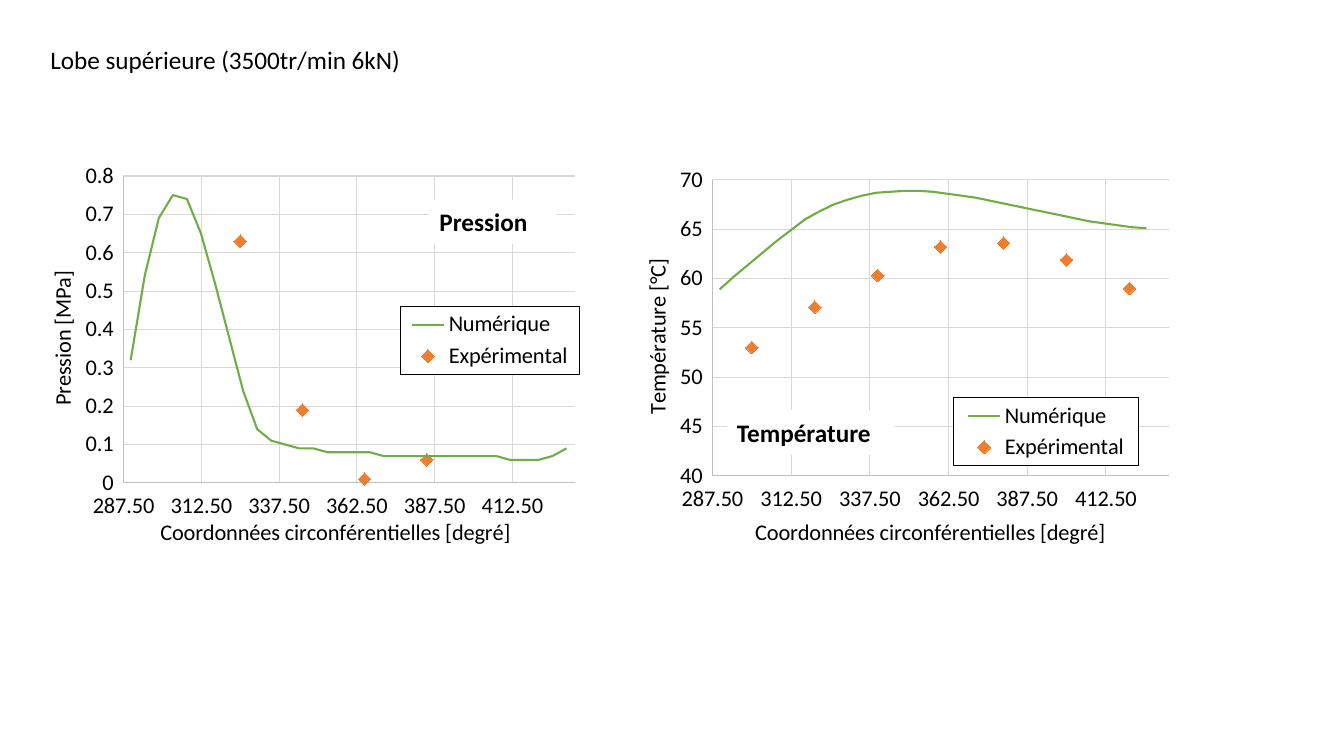
from dataclasses import dataclass

from lxml import etree
from pptx import Presentation
from pptx import util as u
from pptx.chart.data import XyChartData
from pptx.dml.color import RGBColor
from pptx.enum import chart as ch, shapes, text
from pptx.oxml import parse_xml
from pptx.oxml.ns import nsdecls, qn

FONT = "Calibri"
COLORS = {
    "black": "000000", "white": "FFFFFF", "axis": "BFBFBF", "grid": "D9D9D9",
    "numerical": "70AD47", "experimental": "ED7D31",
}
X_START, X_STEP = 289.8, 4.52


@dataclass
class Panel:
    left: float
    y_title: str
    y_range: tuple[float, float, float]
    numerical: list[float]
    experimental: list[tuple[float, float]]
    plot: tuple[float, ...]
    x_title_at: tuple[float, ...]
    y_title_at: tuple[float, ...]
    legend: tuple[float, ...]


@dataclass
class Label:
    text: str
    left: float
    top: float
    width: float


PANELS = [
    Panel(
        0.25, "Pression [MPa]", (0, 0.8, 0.1),
        [0.32, 0.54, 0.69, 0.75, 0.74, 0.65, 0.52, 0.38, 0.24, 0.14, 0.11,
         0.1, 0.09, 0.09, 0.08, 0.08, 0.08, 0.08, 0.07, 0.07, 0.07, 0.07,
         0.07, 0.07, 0.07, 0.07, 0.07, 0.06, 0.06, 0.06, 0.07, 0.09],
        [(325, 0.63), (345, 0.19), (365, 0.01), (385, 0.06)],
        (0.165, 0.05, 0.757, 0.775), (0.22, 0.9), (0.03, 0.28),
        (0.63, 0.38, 0.3, 0.17),
    ),
    Panel(
        6.15, "Température [°C]", (40, 70, 5),
        [58.9, 60.2, 61.4, 62.6, 63.8, 64.9, 66, 66.8, 67.5, 68, 68.4, 68.7,
         68.8, 68.9, 68.9, 68.8, 68.6, 68.4, 68.2, 67.9, 67.6, 67.3, 67,
         66.7, 66.4, 66.1, 65.8, 65.6, 65.4, 65.2, 65.1],
        [(300, 53), (320, 57.1), (340, 60.3), (360, 63.2), (380, 63.6),
         (400, 61.9), (420, 59)],
        (0.155, 0.06, 0.766, 0.747), (0.22, 0.9), (0.03, 0.25),
        (0.56, 0.61, 0.31, 0.17),
    ),
]
LABELS = [Label("Température", 7.21, 4.07, 1.67), Label("Pression", 4.26, 1.98, 1.26)]


def rgb(name: str) -> RGBColor:
    return RGBColor.from_string(COLORS[name])


def set_font(font, size: float, bold: bool = False) -> None:
    font.name, font.size, font.bold = FONT, u.Pt(size), bold
    font.color.rgb = rgb("black")


def set_line(line, color: str, width: float) -> None:
    line.color.rgb = rgb(color)
    line.width = u.Pt(width)


def set_layout(parent, index: int, box: tuple[float, ...], inner: bool = False) -> None:
    for old in parent.findall(qn("c:layout")):
        parent.remove(old)
    layout = parse_xml(f"<c:layout {nsdecls('c')}><c:manualLayout/></c:layout>")
    settings = [("layoutTarget", "inner")] if inner else []
    settings += [("xMode", "edge"), ("yMode", "edge"), *zip("xywh", box)]
    for tag, value in settings:
        etree.SubElement(layout[0], qn(f"c:{tag}")).set("val", str(value))
    parent.insert(index, layout)


def style_axis(axis, title: str, title_at: tuple[float, ...],
               limits: tuple[float, float, float], number_format: str) -> None:
    axis.minimum_scale, axis.maximum_scale, axis.major_unit = limits
    axis.has_major_gridlines = True
    set_line(axis.major_gridlines.format.line, "grid", 0.75)
    set_line(axis.format.line, "axis", 0.75)
    axis.major_tick_mark = axis.minor_tick_mark = ch.XL_TICK_MARK.NONE
    axis.tick_label_position = ch.XL_TICK_LABEL_POSITION.LOW
    axis.tick_labels.number_format = number_format
    axis.tick_labels.number_format_is_linked = False
    set_font(axis.tick_labels.font, 16)
    p = axis.axis_title.text_frame.paragraphs[0]
    p.text = title
    set_font(p.runs[0].font, 16)
    set_layout(axis.axis_title._element, 1, title_at)


def style_legend(chart, box: tuple[float, ...]) -> None:
    chart.has_legend = True
    legend = chart.legend
    legend.position = ch.XL_LEGEND_POSITION.TOP
    legend.include_in_layout = False
    set_font(legend.font, 16)
    set_layout(legend._element, 1, box)
    legend._element.find(qn("c:txPr")).addprevious(parse_xml(
        f"<c:spPr {nsdecls('c', 'a')}>"
        f"<a:solidFill><a:srgbClr val='{COLORS['white']}'/></a:solidFill>"
        f"<a:ln w='9525'><a:solidFill><a:srgbClr val='{COLORS['black']}'/>"
        "</a:solidFill></a:ln></c:spPr>"))


def add_panel(s, panel: Panel) -> None:
    data = XyChartData()
    numerical = data.add_series("Numérique")
    for i, value in enumerate(panel.numerical):
        numerical.add_data_point(round(X_START + i * X_STEP, 2), value)
    experimental = data.add_series("Expérimental")
    for x, y in panel.experimental:
        experimental.add_data_point(x, y)
    chart = s.shapes.add_chart(
        ch.XL_CHART_TYPE.XY_SCATTER_SMOOTH_NO_MARKERS, u.Inches(panel.left),
        u.Inches(1.55), u.Inches(5.91), u.Inches(3.94), data).chart
    chart.has_title = False
    set_font(chart.font, 16)
    plot = chart.plots[0]
    plot.vary_by_categories = False
    curve, points = plot.series
    curve.smooth = True
    curve.marker.style = ch.XL_MARKER_STYLE.NONE
    set_line(curve.format.line, "numerical", 1.5)
    points.smooth = False
    points.format.line.fill.background()
    points.marker.style = ch.XL_MARKER_STYLE.DIAMOND
    points.marker.size = 9
    points.marker.format.fill.solid()
    points.marker.format.fill.fore_color.rgb = rgb("experimental")
    set_line(points.marker.format.line, "experimental", 0.75)
    style_axis(chart.category_axis, "Coordonnées circonférentielles [degré]",
               panel.x_title_at, (287.5, 432.5, 25), "0.00")
    style_axis(chart.value_axis, panel.y_title, panel.y_title_at,
               panel.y_range, "General")
    style_legend(chart, panel.legend)
    set_layout(chart._chartSpace.chart.plotArea, 0, panel.plot, inner=True)


def add_label(s, label: Label) -> None:
    sp = s.shapes.add_shape(
        shapes.MSO_SHAPE.RECTANGLE, u.Inches(label.left), u.Inches(label.top),
        u.Inches(label.width), u.Inches(0.44))
    sp.shadow.inherit = False
    sp.fill.solid()
    sp.fill.fore_color.rgb = rgb("white")
    sp.line.fill.background()
    tf = sp.text_frame
    tf.text = label.text
    tf.vertical_anchor = text.MSO_ANCHOR.MIDDLE
    p = tf.paragraphs[0]
    p.alignment = text.PP_ALIGN.LEFT
    set_font(p.runs[0].font, 18, bold=True)


def add_heading(s) -> None:
    sp = s.shapes.add_textbox(u.Inches(0.4), u.Inches(0.39), u.Inches(3.72), u.Inches(0.4))
    tf = sp.text_frame
    tf.text = "Lobe supérieure (3500tr/min 6kN)"
    tf.word_wrap = False
    tf.auto_size = text.MSO_AUTO_SIZE.SHAPE_TO_FIT_TEXT
    set_font(tf.paragraphs[0].runs[0].font, 18)


def main() -> None:
    prs = Presentation()
    prs.slide_width, prs.slide_height = u.Inches(13.33), u.Inches(7.5)
    s = prs.slides.add_slide(prs.slide_layouts[6])
    add_heading(s)
    for panel in PANELS:
        add_panel(s, panel)
    for label in LABELS:
        add_label(s, label)
    prs.save("out.pptx")


if __name__ == "__main__":
    main()
